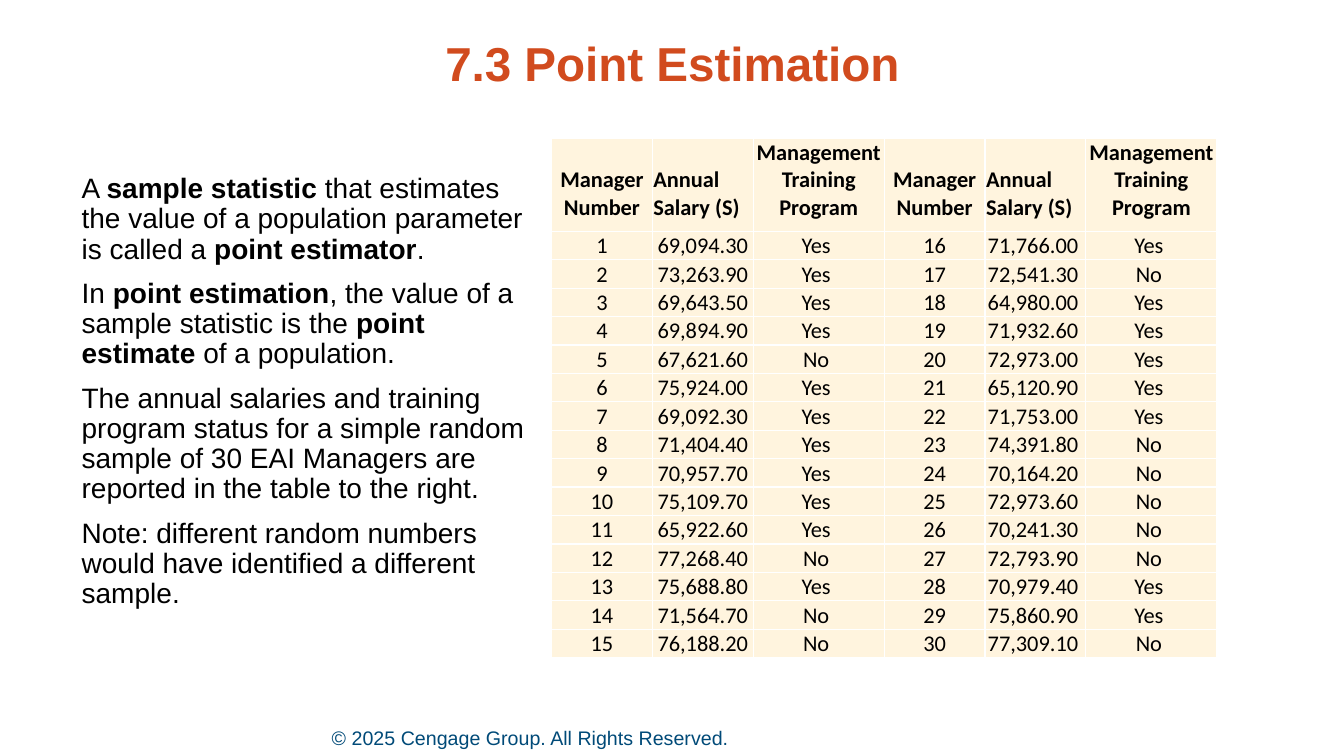
from pptx import Presentation
from pptx.dml.color import RGBColor
from pptx.enum import text as t
from pptx.util import Inches, Pt

BLACK = RGBColor(0x00, 0x00, 0x00)
ORANGE = RGBColor(0xD1, 0x4B, 0x1E)
BLUE = RGBColor(0x00, 0x4A, 0x78)
CREAM = RGBColor(0xFF, 0xF4, 0xDE)
LEFT, CENTER = t.PP_ALIGN.LEFT, t.PP_ALIGN.CENTER
TOP, MIDDLE, BOTTOM = t.MSO_ANCHOR.TOP, t.MSO_ANCHOR.MIDDLE, t.MSO_ANCHOR.BOTTOM


def write(paragraph, content, size=16, font="Calibri", color=BLACK, bold=False,
          align=LEFT, spacing=None, before=None):
    """Fill a paragraph; parts between ** marks switch to bold."""
    paragraph.alignment = align
    paragraph.line_spacing = spacing
    paragraph.space_before = before
    for i, part in enumerate(content.split("**")):
        if part:
            run = paragraph.add_run()
            run.text = part
            run.font.size, run.font.name = Pt(size), font
            run.font.color.rgb = color
            run.font.bold = bold or i % 2 == 1


def set_frame(frame, anchor=TOP, bottom=0):
    frame.margin_left = frame.margin_top = frame.margin_right = 0
    frame.margin_bottom = Inches(bottom)
    frame.vertical_anchor = anchor
    frame.word_wrap = True
    frame.auto_size = t.MSO_AUTO_SIZE.NONE
    return frame


prs = Presentation()
prs.slide_width, prs.slide_height = Inches(13.33), Inches(7.5)
slide = prs.slides.add_slide(prs.slide_layouts[5])

# Copyright line
copyright_box = slide.shapes.add_textbox(Inches(3.29), Inches(7.19), Inches(9.79), Inches(0.29))
copyright_frame = set_frame(copyright_box.text_frame, anchor=BOTTOM, bottom=0.05)
write(copyright_frame.paragraphs[0], "© 2025 Cengage Group. All Rights Reserved.",
      size=14, font="Arial", color=BLUE)

# Title
title = slide.shapes.title
title.left, title.top = Inches(0.92), Inches(0.4)
title.width, title.height = Inches(11.5), Inches(0.74)
write(set_frame(title.text_frame).paragraphs[0], "7.3 Point Estimation",
      size=34, font="Arial", color=ORANGE, bold=True, align=CENTER, spacing=0.9)

# Explanation on the left
explanation = [
    "A **sample statistic **that estimates the value of a population parameter "
    "is called a **point estimator**.",
    "In **point estimation**, the value of a sample statistic is the "
    "**point estimate **of a population.",
    "The annual salaries and training program status for a simple random sample "
    "of 30 EAI Managers are reported in the table to the right.",
    "Note: different random numbers would have identified a different sample.",
]
explanation_box = slide.shapes.add_textbox(Inches(0.81), Inches(1.73), Inches(4.49), Inches(4.65))
explanation_frame = set_frame(explanation_box.text_frame)
for i, sentence in enumerate(explanation):
    paragraph = explanation_frame.add_paragraph() if i else explanation_frame.paragraphs[0]
    write(paragraph, sentence, size=20, font="Arial", spacing=0.9,
          before=Pt(10) if i else None)

# Sample of 30 managers: annual salary and training program status
headings = ["Manager Number", "Annual Salary (S)", "Management Training Program"]
managers = [
    ("69,094.30", "Yes"), ("73,263.90", "Yes"), ("69,643.50", "Yes"),
    ("69,894.90", "Yes"), ("67,621.60", "No"), ("75,924.00", "Yes"),
    ("69,092.30", "Yes"), ("71,404.40", "Yes"), ("70,957.70", "Yes"),
    ("75,109.70", "Yes"), ("65,922.60", "Yes"), ("77,268.40", "No"),
    ("75,688.80", "Yes"), ("71,564.70", "No"), ("76,188.20", "No"),
    ("71,766.00", "Yes"), ("72,541.30", "No"), ("64,980.00", "Yes"),
    ("71,932.60", "Yes"), ("72,973.00", "Yes"), ("65,120.90", "Yes"),
    ("71,753.00", "Yes"), ("74,391.80", "No"), ("70,164.20", "No"),
    ("72,973.60", "No"), ("70,241.30", "No"), ("72,793.90", "No"),
    ("70,979.40", "Yes"), ("75,860.90", "Yes"), ("77,309.10", "No"),
]
half = len(managers) // 2
rows = [headings * 2]
for n in range(half):
    (salary, trained), (salary_2, trained_2) = managers[n], managers[n + half]
    rows.append([str(n + 1), salary, trained + " ",
                 str(n + half + 1), salary_2 + " ", trained_2 + " "])

salary_frame = slide.shapes.add_table(len(rows), 6, Inches(5.47), Inches(1.37),
                                      Inches(6.6), Inches(5.01))
salary_table = salary_frame.table
salary_table.first_row = salary_table.horz_banding = False
for column, width in zip(salary_table.columns, [1, 1, 1.3] * 2):
    column.width = Inches(width)

for r, row in enumerate(rows):
    is_header = r == 0
    salary_table.rows[r].height = Inches(0.7 if is_header else 0.21)
    for c, value in enumerate(row):
        cell = salary_table.cell(r, c)
        cell.fill.solid()
        cell.fill.fore_color.rgb = CREAM
        cell.margin_left = cell.margin_top = cell.margin_right = Inches(0.01)
        cell.margin_bottom = Inches(0.1 if is_header else 0)
        cell.vertical_anchor = BOTTOM if is_header or c in (0, 3, 4) else MIDDLE
        write(cell.text_frame.paragraphs[0], value, bold=is_header,
              align=LEFT if is_header and c % 3 == 1 else CENTER)
salary_frame.height = Inches(5.01)

prs.save("out.pptx")
